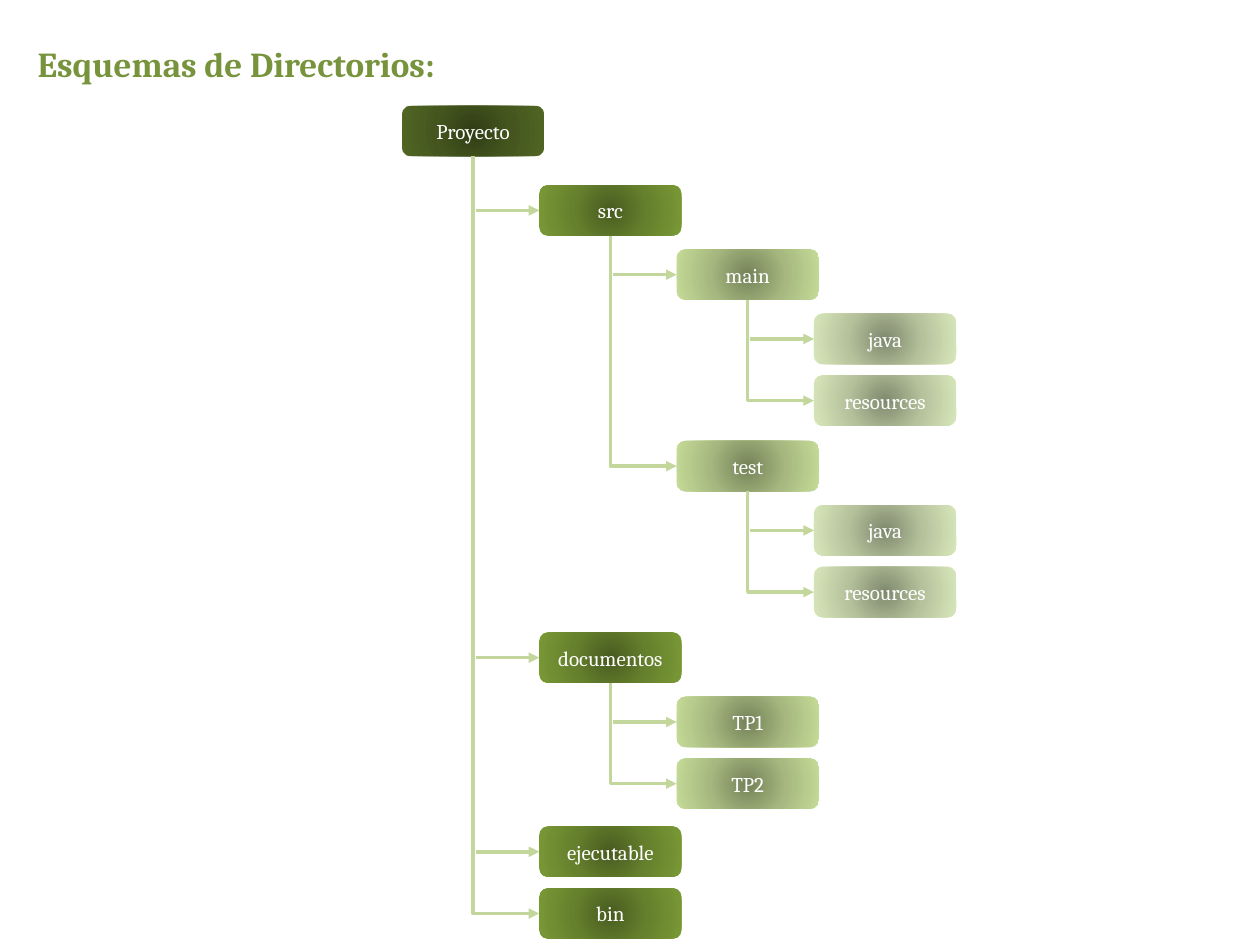
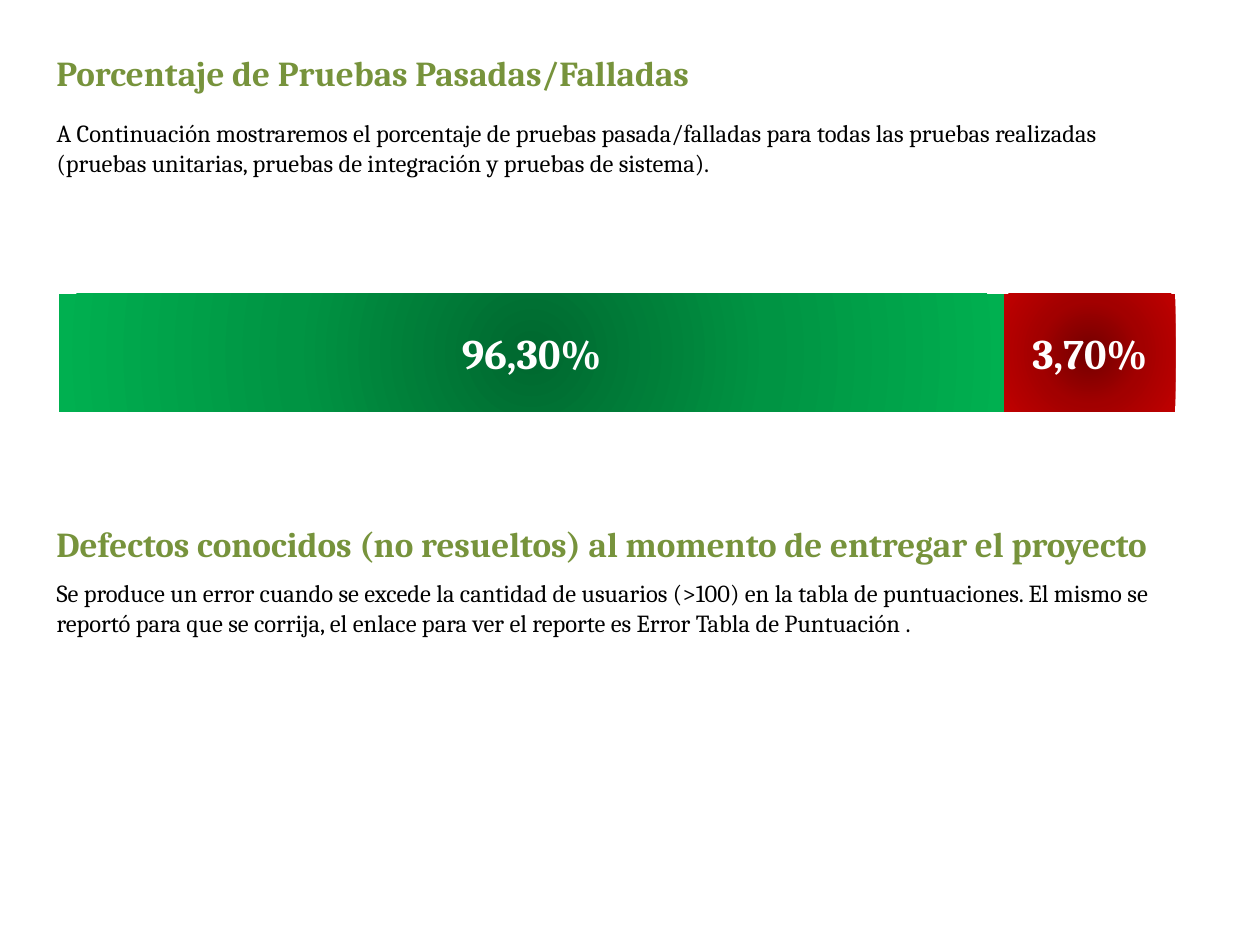
from pptx import Presentation
from pptx.util import Inches, Pt
from pptx.dml.color import RGBColor
from pptx.enum.shapes import MSO_SHAPE, MSO_CONNECTOR
from pptx.enum.text import PP_ALIGN, MSO_ANCHOR
from pptx.oxml import parse_xml
from pptx.oxml.ns import qn, nsdecls
from lxml.etree import SubElement

FONT = "Cambria"
OLIVE, BLACK, WHITE, LEAF = "77933C", "000000", "FFFFFF", "C3D69B"

TREE = [
    ("Proyecto", 0),
    ("src", 1),
    ("main", 2),
    ("java", 3),
    ("resources", 3),
    ("test", 2),
    ("java", 3),
    ("resources", 3),
    ("documentos", 1),
    ("TP1", 2),
    ("TP2", 2),
    ("ejecutable", 1),
    ("bin", 1),
]
SHADES = [
    ("303D15", "44561E", "516624"),
    ("485B20", "66812D", "799936"),
    ("748259", "A6B87F", "C5DB97"),
    ("80896E", "B6C29C", "D8E7BA"),
]
LEFT, TOP, INDENT = 3.19, 0.84, 1.09
BOX_W, BOX_H = 1.13, 0.4
GAPS = {(0, 1): 0.63, (1, 1): 0.49, (2, 2): 0.49, (3, 3): 0.49,
        (3, 2): 0.52, (3, 1): 0.52, (2, 1): 0.54}
DEEPER = 0.51

PARTS = [
    (0.36, "Porcentaje de Pruebas Pasadas/Falladas", 0.89,
     "A Continuación mostraremos el porcentaje de pruebas pasada/falladas para todas "
     "las pruebas realizadas (pruebas unitarias, pruebas de integración y pruebas de sistema)."),
    (4.1, "Defectos conocidos (no resueltos) al momento de entregar el proyecto", 4.54,
     "Se produce un error cuando se excede la cantidad de usuarios (>100) en la tabla de "
     "puntuaciones. El mismo se reportó para que se corrija, el enlace para ver el reporte "
     "es Error Tabla de Puntuación ."),
]
BARS = [
    ("96,30%", 7.5, ("00682F", "009443", "00B050")),
    ("3,70%", 1.36, ("720000", "A20000", "C00000")),
]


def color(code):
    return RGBColor.from_string(code)


def write(frame, text, size, tint, bold=False, align=PP_ALIGN.LEFT, wrap=True):
    frame.word_wrap = wrap
    par = frame.paragraphs[0]
    par.text = text
    par.alignment = align
    font = par.font
    font.name, font.size, font.bold = FONT, Pt(size), bold
    font.color.rgb = color(tint)


def label(slide, box, text, size, tint, bold=False, wrap=True):
    frame = slide.shapes.add_textbox(*map(Inches, box)).text_frame
    write(frame, text, size, tint, bold, wrap=wrap)


def title(slide, left, top, width, text):
    label(slide, (left, top, width, 0.44), text, 20, OLIVE, True, False)


def block(slide, kind, box, text, shades, size, bold=False):
    shape = slide.shapes.add_shape(kind, *map(Inches, box))
    shape.shadow.inherit = False
    shape.line.fill.background()
    stops = "".join(f'<a:gs pos="{pos}"><a:srgbClr val="{code}"/></a:gs>'
                    for pos, code in zip((0, 50000, 100000), shades))
    grad = parse_xml(
        f'<a:gradFill {nsdecls("a")} rotWithShape="1"><a:gsLst>{stops}</a:gsLst>'
        '<a:path path="circle"><a:fillToRect l="50000" t="50000" r="50000" b="50000"/>'
        '</a:path></a:gradFill>')
    shape._element.spPr.find(qn("a:prstGeom")).addnext(grad)
    shape.text_frame.vertical_anchor = MSO_ANCHOR.MIDDLE
    write(shape.text_frame, text, size, WHITE, bold, PP_ALIGN.CENTER)


def arrow(slide, x1, y1, x2, y2):
    bent = y1 != y2
    if bent:
        kind = MSO_CONNECTOR.ELBOW
        midx, midy = (x1 + x2) / 2, (y1 + y2) / 2
        dx, dy = (x2 - x1) / 2, (y2 - y1) / 2
        ends = midx + dy, midy - dx, midx - dy, midy + dx
    else:
        kind, ends = MSO_CONNECTOR.STRAIGHT, (x1, y1, x2, y2)
    line = slide.shapes.add_connector(kind, *map(Inches, ends))
    line.line.width = Pt(2)
    line.line.color.rgb = color(LEAF)
    props = line._element.spPr
    if bent:
        props.find(qn("a:xfrm")).set("rot", str(270 * 60000))
        props.find(qn("a:prstGeom")).set("prst", "bentConnector2")
    SubElement(props.find(qn("a:ln")), qn("a:tailEnd"), type="triangle")
    SubElement(props, qn("a:effectLst"))


def place():
    spots, top, last = [], TOP, None
    for name, depth in TREE:
        if last is not None:
            top += GAPS.get((last, depth), DEEPER)
        spots.append((name, depth, LEFT + depth * INDENT, top))
        last = depth
    return spots


def kids(spots, at):
    depth = spots[at][1]
    found = []
    for spot in spots[at + 1:]:
        if spot[1] <= depth:
            break
        if spot[1] == depth + 1:
            found.append(spot)
    return found


def folders(slide):
    title(slide, 0.2, 0.29, 3.46, "Esquemas de Directorios:")
    spots = place()
    for at, (name, depth, left, top) in enumerate(spots):
        block(slide, MSO_SHAPE.ROUNDED_RECTANGLE, (left, top, BOX_W, BOX_H),
              name, SHADES[depth], 12)
        stem = left + BOX_W / 2
        below = kids(spots, at)
        for kid in below:
            goal = kid[3] + BOX_H / 2
            if kid is below[-1]:
                arrow(slide, stem, top + BOX_H, kid[2], goal)
            else:
                arrow(slide, stem + 0.02, goal, kid[2], goal)


def results(slide):
    for top, head, under, text in PARTS:
        title(slide, 0.35, top, 9.2, head)
        label(slide, (0.35, under, 9.21, 0.57), text, 14, BLACK)
    left = 0.47
    for text, width, shades in BARS:
        block(slide, MSO_SHAPE.RECTANGLE, (left, 2.33, width, 0.94), text, shades, 24, True)
        left += width


def main():
    deck = Presentation()
    deck.slide_width, deck.slide_height = Inches(10), Inches(7.5)
    for draw in (folders, results):
        draw(deck.slides.add_slide(deck.slide_layouts[6]))
    deck.save("out.pptx")


if __name__ == "__main__":
    main()
